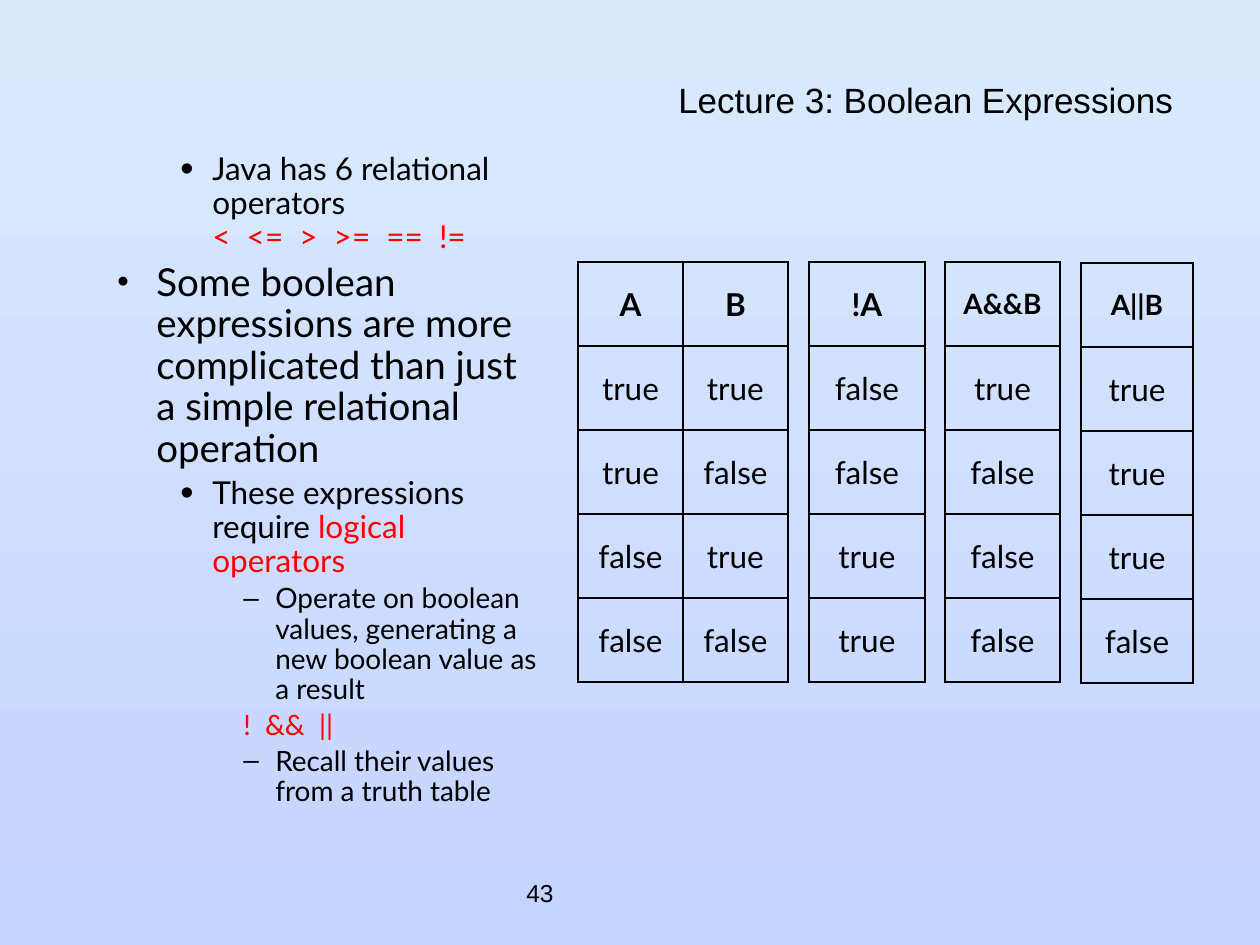
from lxml.etree import SubElement
from pptx import Presentation
from pptx.dml.color import RGBColor
from pptx.enum.text import MSO_ANCHOR, PP_ALIGN
from pptx.oxml.ns import qn
from pptx.util import Emu, Pt

PX_PER_INCH = 126
COLORS = {"text": "000000", "accent": "FF0000", "top": "DAEBFE", "bottom": "C5D3FF"}
LEVELS = {
    1: {"size": 22, "margin": 102, "bullet": "•", "percent": 85},
    2: {"size": 18, "margin": 158, "bullet": "•", "percent": 120},
    3: {"size": 16, "margin": 221, "bullet": "–", "percent": 100},
}
HANGING = {1: 39, 2: 32, 3: 32}
POINTS = [
    (2, True, [[("Java has 6 relational operators", "text")],
               [("<  <=  >  >=  ==  !=", "accent")]]),
    (1, True, [[("Some boolean expressions are more complicated than just "
                 "a simple relational operation", "text")]]),
    (2, True, [[("These expressions require ", "text"), ("logical operators", "accent")]]),
    (3, True, [[("Operate on boolean values, generating a new boolean value "
                 "as a result", "text")]]),
    (3, False, [[("!  &&  ||", "accent")]]),
    (3, True, [[("Recall their values from a truth table", "text")]]),
]
TRUTH_TABLES = [
    ((578, 262, 210, 420), 18, ["A B", "true true", "true false", "false true", "false false"]),
    ((809, 262, 116, 420), 18, ["!A", "false", "false", "true", "true"]),
    ((945, 262, 115, 420), 16, ["A&&B", "true", "false", "false", "false"]),
    ((1081, 263, 112, 420), 16, ["A||B", "true", "true", "true", "false"]),
]


def px(length):
    """Turn pixels into EMU."""
    return Emu(round(length * 914400 / PX_PER_INCH))


def color(name):
    """Return a named colour."""
    return RGBColor.from_string(COLORS[name])


def format_run(run, size, font="Lato", color_name="text", bold=False):
    """Set the font of a run."""
    run.font.name = font
    run.font.size = Pt(size)
    run.font.bold = bold
    run.font.color.rgb = color(color_name)


def paint_background(slide):
    """Fill the slide with a vertical gradient."""
    fill = slide.background.fill
    fill.gradient()
    fill.gradient_angle = 270
    for stop, name in zip(fill.gradient_stops, ("top", "bottom")):
        stop.color.rgb = color(name)


def place_title(slide, box, text):
    """Move and format the title placeholder."""
    title = slide.shapes.title
    title.left, title.top, title.width, title.height = map(px, box)
    title.text_frame.text = text
    title.text_frame.vertical_anchor = MSO_ANCHOR.MIDDLE
    paragraph = title.text_frame.paragraphs[0]
    paragraph.alignment = PP_ALIGN.RIGHT
    paragraph.line_spacing = 0.7
    format_run(paragraph.runs[0], 20, "Arial")


def set_bullet(paragraph, level, bulleted):
    """Give a paragraph its indent and bullet."""
    style = LEVELS[level]
    properties = paragraph._p.get_or_add_pPr()
    properties.set("marL", str(px(style["margin"])))
    properties.set("indent", str(-px(HANGING[level])))
    if not bulleted:
        SubElement(properties, qn("a:buNone"))
        return
    bullet_color = SubElement(properties, qn("a:buClr"))
    SubElement(bullet_color, qn("a:srgbClr"), val=COLORS["text"])
    SubElement(properties, qn("a:buSzPct"), val=str(style["percent"] * 1000))
    SubElement(properties, qn("a:buFont"), typeface="Arial")
    SubElement(properties, qn("a:buChar"), char=style["bullet"])


def add_points(slide, box, points):
    """Add the bulleted outline."""
    frame = slide.shapes.add_textbox(*map(px, box)).text_frame
    frame.word_wrap = True
    for index, (level, bulleted, lines) in enumerate(points):
        paragraph = frame.add_paragraph() if index else frame.paragraphs[0]
        size = LEVELS[level]["size"]
        paragraph.level = level - 1
        paragraph.line_spacing = 0.9
        paragraph.space_before = Pt(size * 0.2)
        set_bullet(paragraph, level, bulleted)
        for line_index, line in enumerate(lines):
            if line_index:
                paragraph.add_line_break()
            for text, color_name in line:
                run = paragraph.add_run()
                run.text = text
                format_run(run, size, color_name=color_name)


def draw_borders(cell):
    """Draw a thin line on every side of a cell."""
    properties = cell._tc.get_or_add_tcPr()
    for side in ("a:lnL", "a:lnR", "a:lnT", "a:lnB"):
        line = SubElement(properties, qn(side), w=str(Pt(1)))
        fill = SubElement(line, qn("a:solidFill"))
        SubElement(fill, qn("a:srgbClr"), val=COLORS["text"])


def add_truth_table(slide, box, header_size, rows):
    """Add a truth table with a bold header row."""
    values = [row.split() for row in rows]
    table = slide.shapes.add_table(len(values), len(values[0]), *map(px, box)).table
    table.horz_banding = False
    for row_index, row in enumerate(values):
        for column_index, text in enumerate(row):
            cell = table.cell(row_index, column_index)
            draw_borders(cell)
            cell.fill.background()
            cell.vertical_anchor = MSO_ANCHOR.MIDDLE
            cell.text_frame.text = text
            paragraph = cell.text_frame.paragraphs[0]
            paragraph.alignment = PP_ALIGN.CENTER
            is_header = row_index == 0
            size = header_size if is_header else 18
            paragraph.space_before = Pt(size * 0.2)
            format_run(paragraph.runs[0], size, bold=is_header)


def add_page_number(slide, box, text):
    """Add the page number at the foot."""
    frame = slide.shapes.add_textbox(*map(px, box)).text_frame
    frame.word_wrap = False
    frame.vertical_anchor = MSO_ANCHOR.MIDDLE
    frame.text = text
    format_run(frame.paragraphs[0].runs[0], 14, "Arial")


def main():
    """Build the slide and save it."""
    presentation = Presentation()
    presentation.slide_width, presentation.slide_height = px(1260), px(945)
    slide = presentation.slides.add_slide(presentation.slide_layouts[5])
    paint_background(slide)
    add_page_number(slide, (514, 861, 262, 63), "43")
    place_title(slide, (73, 84, 1113, 42), "Lecture 3: Boolean Expressions")
    add_points(slide, (42, 147, 514, 693), POINTS)
    for box, header_size, rows in TRUTH_TABLES:
        add_truth_table(slide, box, header_size, rows)
    presentation.save("out.pptx")


if __name__ == "__main__":
    main()
